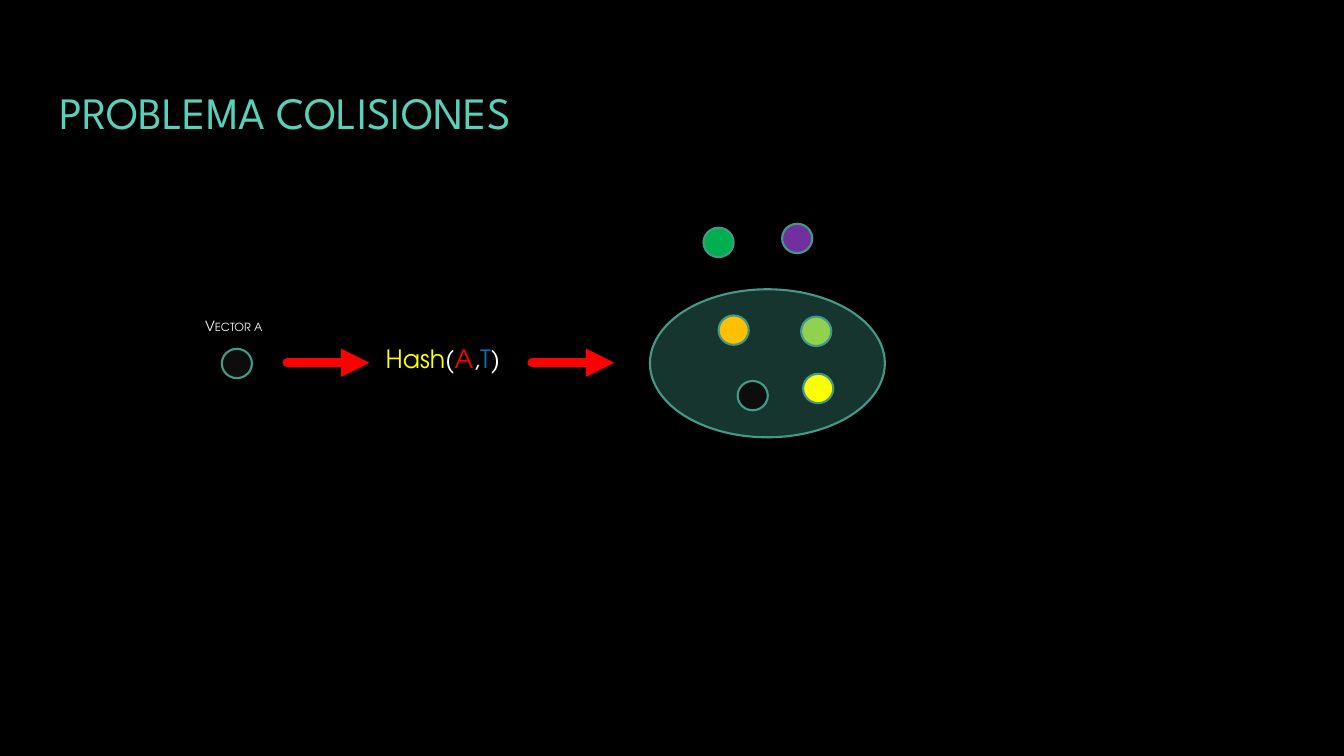
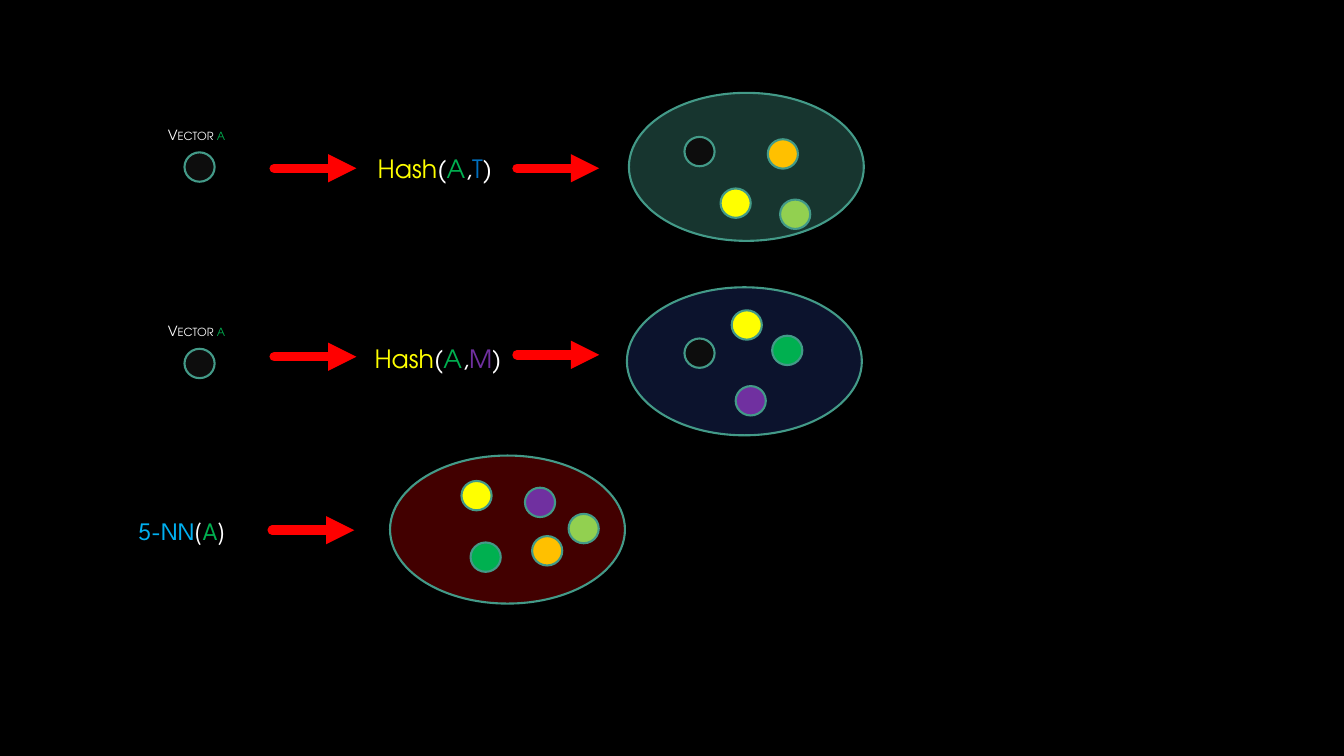
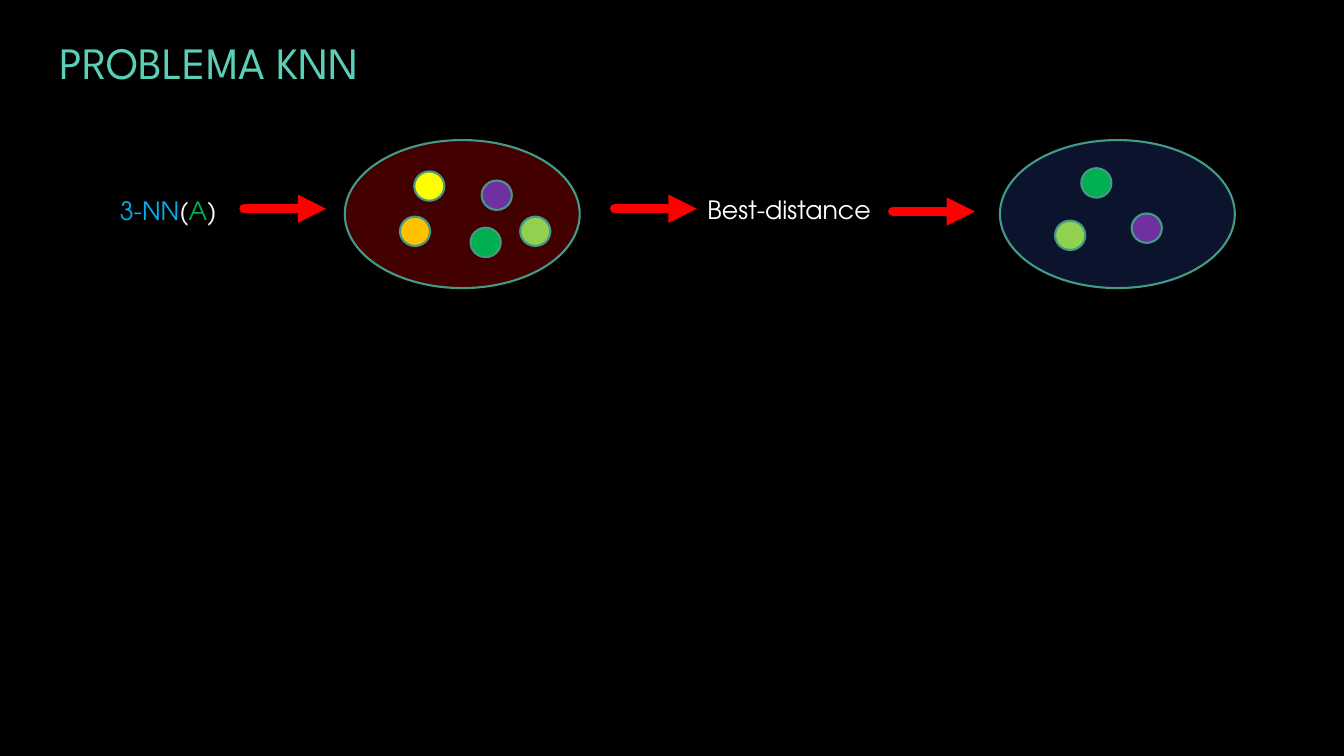
from typing import NamedTuple

from lxml import etree
from pptx import Presentation
from pptx import util as u
from pptx.dml.color import RGBColor
from pptx.enum import shapes, text
from pptx.oxml import ns

COLORS = {
    "background": "000000",
    "title": "5AD0B8",
    "outline": "439A88",
    "arrow": "FF0000",
    "white": "FFFFFF",
    "black": "0D0D0D",
    "yellow": "FFFF00",
    "orange": "FFC000",
    "green": "00B050",
    "lime": "92D050",
    "purple": "7030A0",
    "red": "FF0000",
    "blue": "0070C0",
    "sky": "00B0F0",
    "teal": "5AD0B8",
    "indigo": "314DAF",
}
TITLE_FONT = "League Spartan"
BODY_FONT = "TeX Gyre Adventor"
DOT_SIZE = (0.76, 0.74)
BUCKET_SIZE = (5.92, 3.73)
BUCKET_OPACITY = 26
ARROW_LENGTH = 2.07


class Piece(NamedTuple):
    words: str
    color: str


class Label(NamedTuple):
    left: float
    top: float
    pieces: list[Piece]
    width: float = 3.63
    height: float = 1.02
    font: str = BODY_FONT
    size: int = 18


class Dot(NamedTuple):
    left: float
    top: float
    color: str


class Bucket(NamedTuple):
    left: float
    top: float
    color: str
    dots: list[Dot]


class Arrow(NamedTuple):
    left: float
    top: float


class Vector(NamedTuple):
    left: float
    top: float
    letter_color: str


class Page(NamedTuple):
    labels: list[Label]
    arrows: list[Arrow]
    buckets: list[Bucket]
    dots: list[Dot]
    vectors: list[Vector]


def rgb(name: str) -> RGBColor:
    return RGBColor.from_string(COLORS[name])


def title(words: str, width: float, height: float) -> Label:
    return Label(1.24, 0.18, [Piece(words, "title")], width, height, TITLE_FONT, 32)


def call(name: str, name_color: str, *arguments: Piece) -> list[Piece]:
    pieces = [Piece(name, name_color), Piece("(", "white")]
    for index, argument in enumerate(arguments):
        if index:
            pieces.append(Piece(",", "white"))
        pieces.append(argument)
    return [*pieces, Piece(")", "white")]


def add_label(slide, label: Label):
    box = slide.shapes.add_textbox(
        u.Cm(label.left), u.Cm(label.top), u.Cm(label.width), u.Cm(label.height)
    )
    frame = box.text_frame
    frame.word_wrap = True
    frame.margin_right = u.Cm(0)
    frame.vertical_anchor = text.MSO_ANCHOR.MIDDLE
    paragraph = frame.paragraphs[0]
    paragraph.font.name = label.font
    paragraph.font.size = u.Pt(label.size)
    for piece in label.pieces:
        run = paragraph.add_run()
        run.text = piece.words
        run.font.color.rgb = rgb(piece.color)
    return frame


def add_vector(slide, vector: Vector) -> None:
    pieces = [Piece("Vector ", "white"), Piece("a", vector.letter_color)]
    frame = add_label(
        slide, Label(vector.left, vector.top, pieces, 2.95, 2.36, size=10)
    )
    frame.margin_left = u.Cm(0.67)
    paragraph = frame.paragraphs[0]
    paragraph.space_before = u.Pt(2)
    paragraph.space_after = u.Pt(6)
    for run in paragraph.runs:
        run._r.get_or_add_rPr().set("cap", "small")


def add_ellipse(slide, left: float, top: float, size: tuple[float, float], color: str):
    shape = slide.shapes.add_shape(
        shapes.MSO_SHAPE.OVAL, u.Cm(left), u.Cm(top), u.Cm(size[0]), u.Cm(size[1])
    )
    shape.shadow.inherit = False
    shape.fill.solid()
    shape.fill.fore_color.rgb = rgb(color)
    shape.line.color.rgb = rgb("outline")
    shape.line.width = u.Pt(1.5)
    return shape


def add_bucket(slide, bucket: Bucket) -> None:
    shape = add_ellipse(slide, bucket.left, bucket.top, BUCKET_SIZE, bucket.color)
    color = shape._element.spPr.find(ns.qn("a:solidFill"))[0]
    etree.SubElement(color, ns.qn("a:alpha"), val=str(BUCKET_OPACITY * 1000))
    add_dots(slide, bucket.dots)


def add_dots(slide, dots: list[Dot]) -> None:
    for dot in dots:
        add_ellipse(slide, dot.left, dot.top, DOT_SIZE, dot.color)


def add_arrow(slide, arrow: Arrow) -> None:
    connector = slide.shapes.add_connector(
        shapes.MSO_CONNECTOR.STRAIGHT,
        u.Cm(arrow.left),
        u.Cm(arrow.top),
        u.Cm(arrow.left + ARROW_LENGTH),
        u.Cm(arrow.top),
    )
    connector.line.color.rgb = rgb("arrow")
    connector.line.width = u.Pt(6.75)
    line = connector.line._get_or_add_ln()
    line.set("cap", "rnd")
    etree.SubElement(line, ns.qn("a:tailEnd"), type="triangle")
    etree.SubElement(connector._element.spPr, ns.qn("a:effectLst"))


def add_page(presentation, page: Page) -> None:
    slide = presentation.slides.add_slide(presentation.slide_layouts[6])
    for label in page.labels:
        add_label(slide, label)
    for vector in page.vectors:
        add_vector(slide, vector)
    for arrow in page.arrows:
        add_arrow(slide, arrow)
    for bucket in page.buckets:
        add_bucket(slide, bucket)
    add_dots(slide, page.dots)


GREEN_A = Piece("A", "green")
TABLE_T = Piece("T", "blue")
TABLE_M = Piece("M", "purple")

PAGES = [
    Page(
        labels=[
            title("PROBLEMA COLISIONES", 27.51, 5.28),
            Label(9.47, 8.53, call("Hash", "yellow", Piece("A", "red"), TABLE_T)),
        ],
        arrows=[Arrow(7.24, 9.14), Arrow(13.41, 9.14)],
        buckets=[
            Bucket(16.38, 7.29, "teal", [
                Dot(18.59, 9.6, "black"),
                Dot(18.11, 7.95, "orange"),
                Dot(20.24, 9.42, "yellow"),
                Dot(20.19, 7.98, "lime"),
            ]),
        ],
        dots=[
            Dot(5.59, 8.79, "black"),
            Dot(17.73, 5.74, "green"),
            Dot(19.71, 5.64, "purple"),
        ],
        vectors=[Vector(4.5, 7.04, "white")],
    ),
    Page(
        labels=[
            Label(9.27, 3.73, call("Hash", "yellow", GREEN_A, TABLE_T)),
            Label(9.19, 8.53, call("Hash", "yellow", GREEN_A, TABLE_M)),
            Label(3.23, 12.85, call("5-NN", "sky", GREEN_A), font=TITLE_FONT),
        ],
        arrows=[
            Arrow(6.91, 4.24),
            Arrow(13.03, 4.24),
            Arrow(6.91, 8.99),
            Arrow(13.03, 8.94),
            Arrow(6.86, 13.36),
        ],
        buckets=[
            Bucket(15.85, 2.34, "teal", [
                Dot(17.25, 3.45, "black"),
                Dot(19.35, 3.51, "orange"),
                Dot(18.16, 4.75, "yellow"),
                Dot(19.66, 5.03, "lime"),
            ]),
            Bucket(15.8, 7.24, "indigo", [
                Dot(17.25, 8.53, "black"),
                Dot(19.46, 8.46, "green"),
                Dot(18.54, 9.73, "purple"),
                Dot(18.44, 7.82, "yellow"),
            ]),
            Bucket(9.83, 11.48, "red", [
                Dot(11.63, 12.12, "yellow"),
                Dot(13.23, 12.29, "purple"),
                Dot(11.86, 13.67, "green"),
                Dot(13.41, 13.51, "orange"),
                Dot(14.33, 12.95, "lime"),
            ]),
        ],
        dots=[Dot(4.65, 3.84, "black"), Dot(4.65, 8.79, "black")],
        vectors=[Vector(3.56, 2.21, "green"), Vector(3.56, 7.16, "green")],
    ),
    Page(
        labels=[
            title("PROBLEMA KNN", 15.37, 2.74),
            Label(2.77, 4.8, call("3-NN", "sky", GREEN_A)),
            Label(17.58, 4.78, [Piece("Best-distance", "white")], width=5.03),
        ],
        arrows=[Arrow(6.15, 5.26), Arrow(15.49, 5.26), Arrow(22.5, 5.33)],
        buckets=[
            Bucket(8.69, 3.53, "red", [
                Dot(10.44, 4.32, "yellow"),
                Dot(12.14, 4.55, "purple"),
                Dot(11.86, 5.74, "green"),
                Dot(10.08, 5.46, "orange"),
                Dot(13.11, 5.46, "lime"),
            ]),
            Bucket(25.2, 3.53, "indigo", [
                Dot(27.25, 4.24, "green"),
                Dot(26.59, 5.56, "lime"),
                Dot(28.52, 5.38, "purple"),
            ]),
        ],
        dots=[],
        vectors=[],
    ),
]


def main() -> None:
    presentation = Presentation()
    presentation.slide_width = u.Cm(33.87)
    presentation.slide_height = u.Cm(19.05)
    background = presentation.slide_master.background.fill
    background.solid()
    background.fore_color.rgb = rgb("background")
    for page in PAGES:
        add_page(presentation, page)
    presentation.save("out.pptx")


if __name__ == "__main__":
    main()
